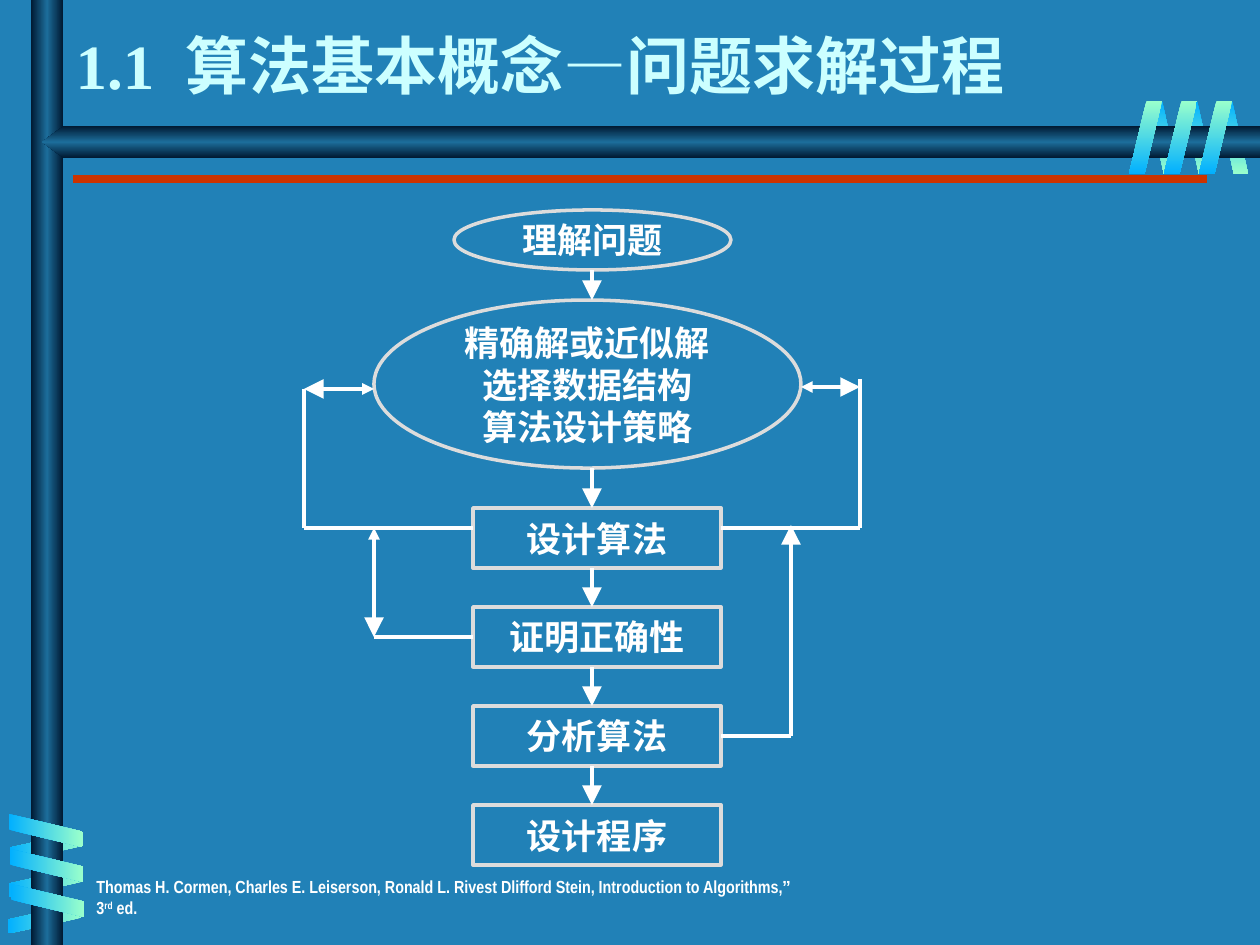
from lxml.etree import SubElement
from pptx import Presentation
from pptx.dml.color import RGBColor
from pptx.enum.shapes import MSO_CONNECTOR as Link, MSO_SHAPE as Shape
from pptx.enum.text import MSO_ANCHOR as Anchor, PP_ALIGN as Align
from pptx.oxml.ns import qn
from pptx.util import Pt

PX = 914400 / 126
BLUE, WHITE, EDGE = "2181B7", "FFFFFF", "DCDCDC"
SKY, MINT, NAVY, STEEL = "01B0FF", "99FFCC", "001932", "1C6D9A"


def px(*values):
    return [round(value * PX) for value in values]


def color(value):
    return RGBColor.from_string(value)


def add_spans(para, spans, **base):
    """Add (text, changes) runs; changes carry on to the next run."""
    style = dict(base)
    for text, changes in spans:
        style.update(changes)
        span = para.add_run()
        span.text = text
        for name in ("name", "size", "bold"):
            setattr(span.font, name, style[name])
        span.font.color.rgb = color(style["color"])
        for name in ("spc", "baseline"):
            if style.get(name):
                span.font._element.set(name, str(style[name]))


def add_box(page, kind, box, fill):
    shape = page.shapes.add_shape(kind, *px(*box))
    shape.shadow.inherit = False
    shape.line.fill.background()
    shape.fill.solid()
    shape.fill.fore_color.rgb = color(fill)
    return shape


def add_gradient(page, kind, box, stops, angle, adjust=None, turn=0, flip=False):
    shape = add_box(page, kind, box, stops[0])
    shape.rotation = turn
    if adjust is not None:
        shape.adjustments[0] = adjust
    props = shape._element.spPr
    if flip:
        props.find(qn("a:xfrm")).set("flipH", "1")
    solid = props.find(qn("a:solidFill"))
    grad = SubElement(props, qn("a:gradFill"), rotWithShape="0")
    props.replace(solid, grad)
    stop_list = SubElement(grad, qn("a:gsLst"))
    for i, value in enumerate(stops):
        place = str(100000 * i // (len(stops) - 1))
        stop = SubElement(stop_list, qn("a:gs"), pos=place)
        SubElement(stop, qn("a:srgbClr"), val=value)
    SubElement(grad, qn("a:lin"), ang=str(angle * 60000), scaled="0")


def add_line(page, start, end, ends="", width=2.25, stroke=WHITE):
    """ends: 'tail' for one arrowhead, 'both' for a smaller one at the start."""
    line = page.shapes.add_connector(Link.STRAIGHT, *px(*start, *end))
    line.line.width = Pt(width)
    line.line.color.rgb = color(stroke)
    outline = line.line._get_or_add_ln()
    if ends == "both":
        SubElement(outline, qn("a:headEnd"), type="triangle", w="med", len="med")
    if ends:
        SubElement(outline, qn("a:tailEnd"), type="triangle", w="lg", len="lg")
    SubElement(line._element.spPr, qn("a:effectLst"))
    return line


def add_coil(page, box, step, **style):
    """Three ribbon strips at equal steps from the first box."""
    left, top, width, height = box
    for i in range(3):
        add_gradient(page, Shape.PARALLELOGRAM,
                     (left + i * step[0], top + i * step[1], width, height),
                     adjust=0.53, **style)


def add_frame(page):
    # Back strips, bars, then front strips
    add_coil(page, (1148, 101, 30, 73), (35, 0), stops=(SKY, MINT), angle=90,
             turn=180, flip=True)
    add_coil(page, (32, 810, 30, 73), (-1, 36), stops=(MINT, SKY), angle=0,
             turn=90, flip=True)
    metal = (NAVY, STEEL, NAVY)
    add_gradient(page, Shape.RECTANGLE, (31, 0, 32, 945), metal, 0)
    add_gradient(page, Shape.PENTAGON, (42, 126, 1218, 32), metal, 90,
                 adjust=0.68, flip=True)
    add_coil(page, (29, 794, 33, 73), (1, 35), stops=(SKY, MINT), angle=0,
             turn=270)
    add_coil(page, (1129, 101, 33, 73), (35, 0), stops=(MINT, SKY), angle=90)
    add_line(page, (73, 179), (1207, 179), width=4.5, stroke="CC3300")


def add_title(page, box):
    title = page.shapes.title
    title.left, title.top, title.width, title.height = px(*box)
    frame = title.text_frame
    frame.word_wrap = True
    frame.vertical_anchor = Anchor.BOTTOM
    para = frame.paragraphs[0]
    para.alignment = Align.LEFT
    add_spans(para, [("1.1", {}), (" ", {"spc": 900}),
                     ("算法基本概念", {"spc": 0}), ("—", {"name": "Arial"}),
                     ("问题求解过程", {"name": "Times New Roman"})],
              name="Times New Roman", size=Pt(36), bold=True, color="CCFFFF")


def add_source(page, box):
    frame = page.shapes.add_textbox(*px(*box)).text_frame
    frame.word_wrap = True
    add_spans(frame.paragraphs[0], [
        ("Thomas H. Cormen, Charles E. Leiserson, Ronald L. Rivest Dlifford "
         "Stein, Introduction to Algorithms,", {}),
        ("”", {"name": "Arial"}), (" 3", {"name": "Arial Narrow"}),
        ("rd", {"baseline": 30000}), (" ed.", {"baseline": 0})],
        name="Arial Narrow", size=Pt(10), bold=True, color=WHITE)


def add_step(page, kind, box, lines, font):
    shape = add_box(page, kind, box, BLUE)
    shape.line.color.rgb = color(EDGE)
    shape.line.width = Pt(2)
    frame = shape.text_frame
    frame.word_wrap = False
    frame.vertical_anchor = Anchor.MIDDLE
    for i, text in enumerate(lines):
        para = frame.add_paragraph() if i else frame.paragraphs[0]
        para.alignment = Align.CENTER
        add_spans(para, [(text, {})], name=font, size=Pt(20), bold=True,
                  color=WHITE)
    return shape


def add_flow(page, box):
    left, top, right = box[0], box[1], box[2]

    def at(x, y):
        return left + x, top + y

    # Steps
    add_step(page, Shape.OVAL, (*at(150, 0), 277, 60), ["理解问题"], "Arial")
    add_step(page, Shape.OVAL, (*at(70, 90), 427, 168),
             ["精确解或近似解", "选择数据结构", "算法设计策略"], "Arial")
    step_x, step_w, step_h, first, pitch = 169, 248, 60, 298, 99
    names = ["设计算法", "证明正确性", "分析算法", "设计程序"]
    steps = [add_step(page, Shape.RECTANGLE,
                      (*at(step_x, first + i * pitch), step_w, step_h), [name],
                      "Karla" if i else "Arial")
             for i, name in enumerate(names)]

    # Downward arrows
    gaps = [(60, 90), (258, first)]
    gaps += [(first + i * pitch + step_h, first + (i + 1) * pitch)
             for i in range(len(names) - 1)]
    for start, end in gaps:
        add_line(page, at(288, start), at(288, end), "tail")

    # Feedback loops
    step_r, design_y = step_x + step_w, 318
    proof_y, analysis_y = (first + i * pitch + step_h // 2 for i in (1, 2))
    for start, end, ends in [
            ((70, 179), (0, 179), "both"),
            ((0, 179), (0, design_y), ""),
            ((0, design_y), (step_x, design_y), ""),
            ((497, 177), (right, 177), "both"),
            ((right, 169), (right, design_y), ""),
            ((right, design_y), (step_r, design_y), ""),
            ((487, analysis_y), (487, 315), "tail"),
            ((70, design_y), (70, proof_y), "both")]:
        add_line(page, at(*start), at(*end), ends)
    proof = add_line(page, at(70, proof_y), at(step_x, proof_y))
    proof.end_connect(steps[1], 1)
    analysis = add_line(page, at(step_r, analysis_y), at(487, analysis_y))
    analysis.begin_connect(steps[2], 3)


def main():
    deck = Presentation()
    deck.slide_width, deck.slide_height = px(1260, 945)
    page = deck.slides.add_slide(deck.slide_layouts[5])
    page.background.fill.solid()
    page.background.fill.fore_color.rgb = color(BLUE)
    add_frame(page)
    add_title(page, (63, 0, 1134, 108))
    add_source(page, (84, 870, 725, 42))
    add_flow(page, (304, 210, 556, 655))
    deck.save("out.pptx")


if __name__ == "__main__":
    main()
